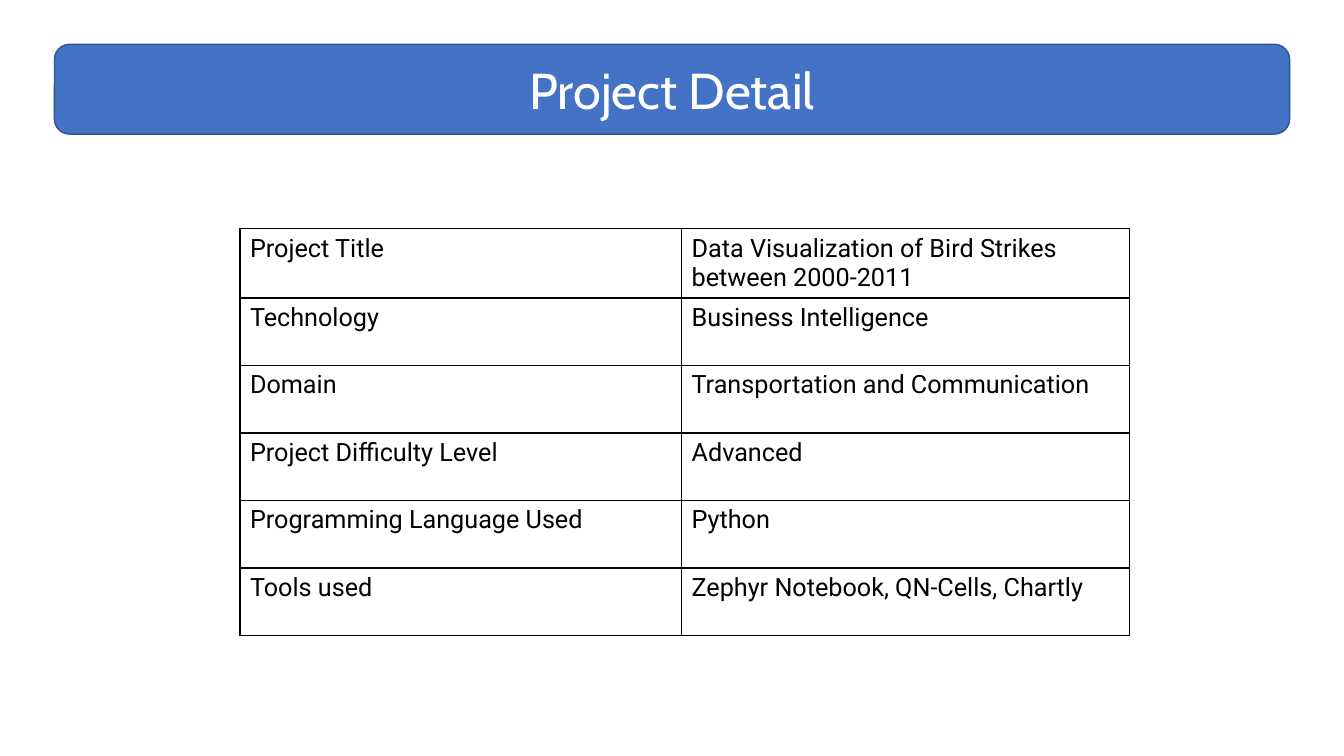
from lxml.etree import SubElement
from pptx import Presentation
from pptx.dml.color import RGBColor
from pptx.enum.shapes import MSO_SHAPE
from pptx.enum.text import MSO_ANCHOR, PP_ALIGN
from pptx.oxml import parse_xml
from pptx.oxml.ns import nsdecls, qn
from pptx.util import Inches, Pt

BLUE = RGBColor(0x44, 0x72, 0xC4)
NAVY = RGBColor(0x32, 0x54, 0x91)
WHITE = RGBColor(0xFF, 0xFF, 0xFF)
BLACK = RGBColor(0, 0, 0)

DETAILS = [
    ("Project Title", "Data Visualization of Bird Strikes between 2000-2011"),
    ("Technology", "Business Intelligence"),
    ("Domain", "Transportation and Communication"),
    ("Project Difficulty Level", "Advanced"),
    ("Programming Language Used", "Python"),
    ("Tools used", "Zephyr Notebook, QN-Cells, Chartly"),
]


class Deck:
    head_font = "Cabin"
    body_font = "Roboto"

    def __init__(self):
        self.prs = Presentation()
        self.prs.slide_width = Inches(13.33)
        self.prs.slide_height = Inches(7.5)
        self.slide = self.prs.slides.add_slide(self.prs.slide_layouts[5])

    def style(self, para, name, size, color):
        para.font.name = name
        para.font.size = Pt(size)
        para.font.color.rgb = color

    def banner(self, *box):
        shape = self.slide.shapes.add_shape(
            MSO_SHAPE.ROUNDED_RECTANGLE, *map(Inches, box))
        shape.shadow.inherit = False
        shape.fill.solid()
        shape.fill.fore_color.rgb = BLUE
        shape.line.color.rgb = NAVY
        shape.line.width = Pt(1)

    def title(self, text, *box):
        title = self.slide.shapes.title
        title.left, title.top, title.width, title.height = map(Inches, box)
        title.text_frame.text = text
        title.text_frame.vertical_anchor = MSO_ANCHOR.MIDDLE
        para = title.text_frame.paragraphs[0]
        para.alignment = PP_ALIGN.CENTER
        self.style(para, self.head_font, 36, WHITE)
        # Bring the title in front of the banner
        tree = self.slide.shapes.element
        tree.remove(title.element)
        tree.append(title.element)

    def border(self, cell):
        props = cell._tc.get_or_add_tcPr()
        for index, side in enumerate("LRTB"):
            line = parse_xml(f'<a:ln{side} {nsdecls("a")} w="{Pt(1)}"/>')
            fill = SubElement(line, qn("a:solidFill"))
            SubElement(fill, qn("a:srgbClr"), val=str(BLACK))
            props.insert(index, line)

    def table(self, rows, left, top, widths, heights):
        frame = self.slide.shapes.add_table(
            len(rows), len(widths), Inches(left), Inches(top),
            Inches(sum(widths)), Inches(sum(heights)))
        table = frame.table
        table.first_row = table.horz_banding = False
        for column, width in zip(table.columns, widths):
            column.width = Inches(width)
        for row, height, texts in zip(table.rows, heights, rows):
            row.height = Inches(height)
            for cell, text in zip(row.cells, texts):
                cell.text = text
                cell.fill.background()
                self.style(cell.text_frame.paragraphs[0],
                           self.body_font, 18, BLACK)
                self.border(cell)


def main():
    deck = Deck()
    # Heading
    box = (0.54, 0.44, 12.25, 0.89)
    deck.banner(*box)
    deck.title("Project Detail", *box)
    # Project facts
    deck.table(DETAILS, 2.38, 2.27, [4.38, 4.44], [0.48] + [0.67] * 5)
    deck.prs.save("out.pptx")


if __name__ == "__main__":
    main()
